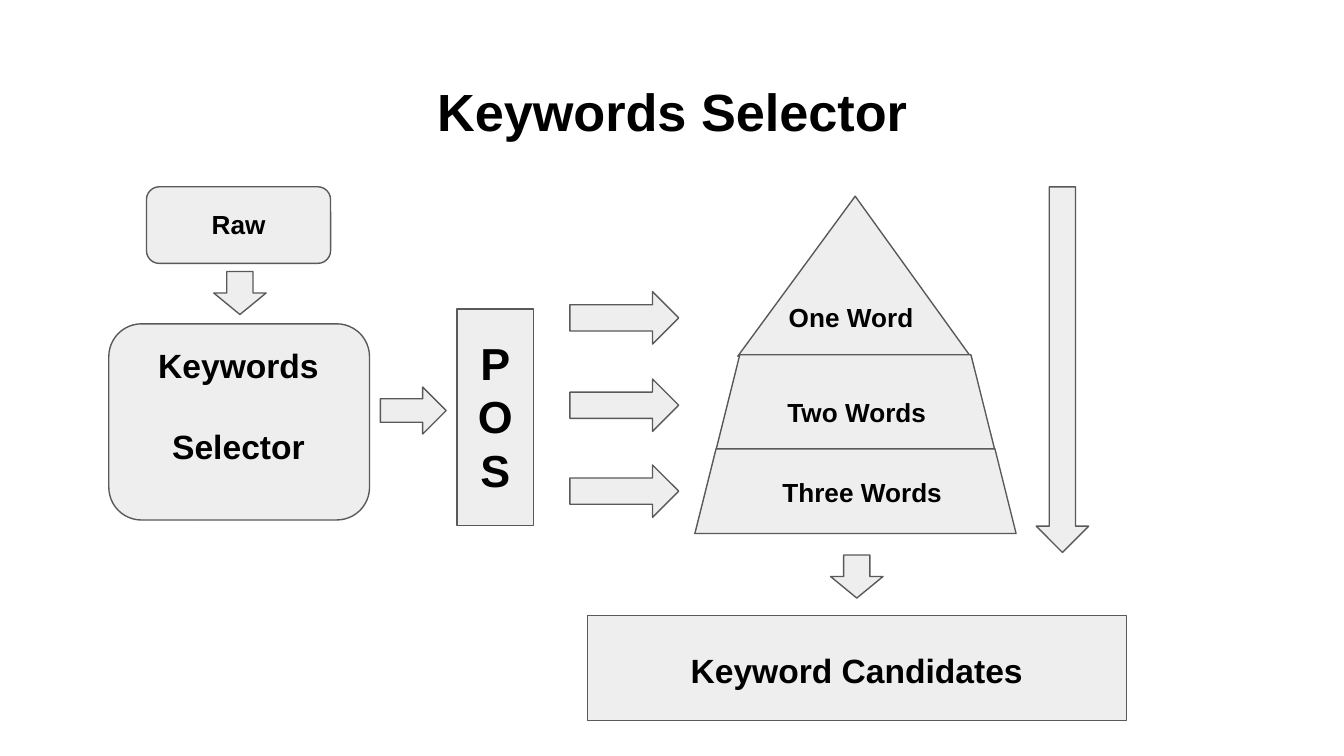
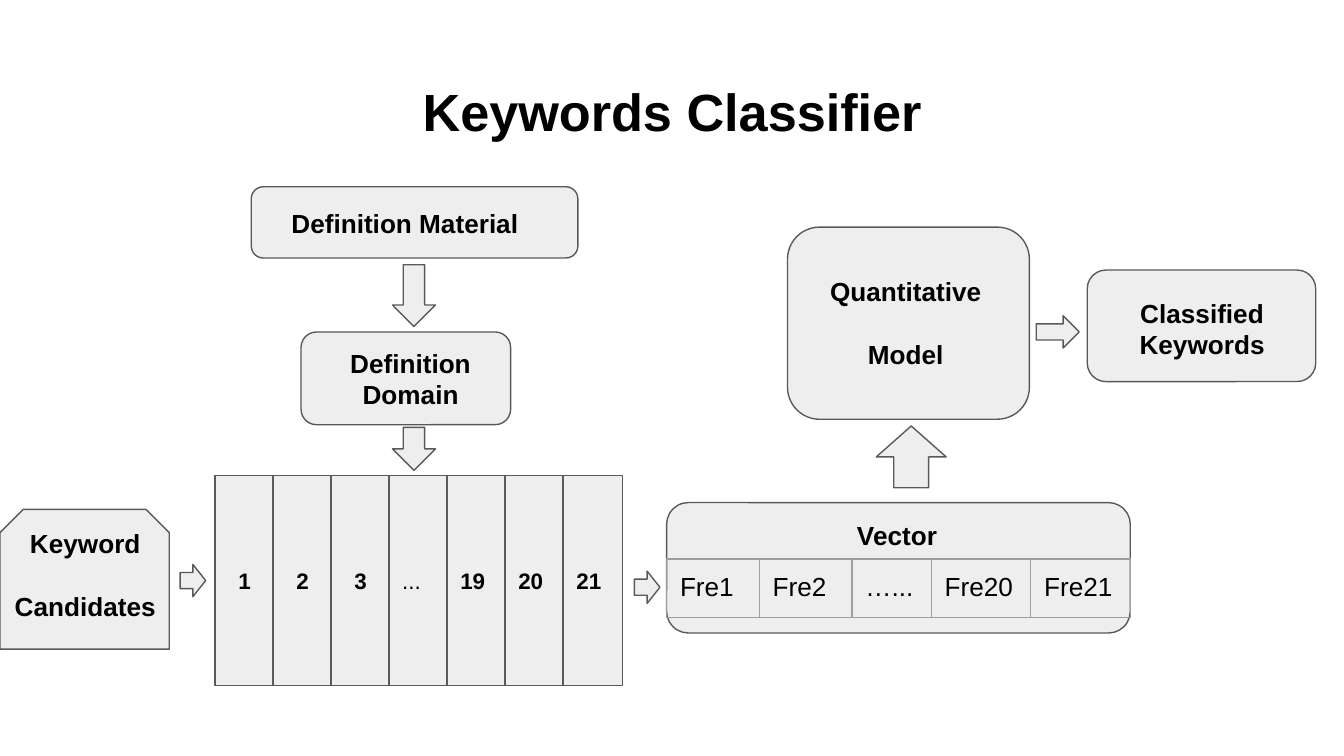
from pptx import Presentation
from pptx.dml.color import RGBColor
from pptx.enum.shapes import MSO_SHAPE as Shape
from pptx.enum.text import MSO_ANCHOR as Anchor, PP_ALIGN as Align
from pptx.oxml import parse_xml
from pptx.oxml.ns import nsdecls
from pptx.util import Inches, Pt

COLORS = {"text": "000000", "fill": "EEEEEE", "line": "595959", "grid": "9E9E9E"}
FONT = "Arial"
LINE_WIDTH = 0.75
INSET = 0.1
LOOSE = 1.2  # gap between loosely set lines, as a share of the text size
TITLE_AREA = (0.34, 0.49, 9.32, 0.63)

BOX, ROUND, SNIP = Shape.RECTANGLE, Shape.ROUNDED_RECTANGLE, Shape.SNIP_2_SAME_RECTANGLE
RIGHT, DOWN, UP = Shape.RIGHT_ARROW, Shape.DOWN_ARROW, Shape.UP_ARROW
TOP, LEFT = {"anchor": Anchor.TOP}, {"align": Align.LEFT}
SPACED = {"gap": LOOSE}

# Shapes: kind, (left, top, width, height).
# Labels: lines, (left, top, width, height), size, format that differs from the default.
SELECTOR = {
    "title": "Keywords Selector",
    "shapes": [
        (ROUND, (1.09, 1.39, 1.37, 0.57)),
        (ROUND, (0.81, 2.41, 1.94, 1.46)),
        (BOX, (3.4, 2.3, 0.57, 1.61)),
        (DOWN, (1.59, 2.02, 0.39, 0.32)),
        (RIGHT, (2.83, 2.88, 0.49, 0.35)),
        (Shape.ISOSCELES_TRIANGLE, (5.49, 1.46, 1.73, 1.19)),
        (Shape.TRAPEZOID, (5.33, 2.64, 2.07, 0.7)),
        (Shape.TRAPEZOID, (5.17, 3.34, 2.39, 0.63)),
        *[(RIGHT, (4.24, top, 0.81, 0.39)) for top in (2.17, 2.82, 3.46)],
        (DOWN, (7.71, 1.39, 0.39, 2.72)),
        (BOX, (4.37, 4.58, 4.01, 0.78)),
        (DOWN, (6.18, 4.13, 0.39, 0.32)),
    ],
    "labels": [
        (["Raw"], (1.15, 1.45, 1.25, 0.35), 14, TOP),
        (["Keywords", "Selector"], (1.01, 2.52, 1.53, 1), 18, SPACED),
        (["P", "O", "S"], (3.4, 2.41, 0.57, 1.37), 24, {}),
        (["One Word"], (5.77, 2.14, 1.25, 0.43), 14, TOP | LEFT),
        (["Two Words"], (5.58, 2.85, 1.59, 0.43), 14, {}),
        (["Three Words"], (5.49, 3.5, 1.85, 0.32), 14, {}),
        (["Keyword Candidates"], (4.8, 4.77, 3.15, 0.43), 18, {}),
    ],
}

CLASSIFIER = {
    "title": "Keywords Classifier",
    "shapes": [
        (ROUND, (1.87, 1.39, 2.43, 0.53)),
        (ROUND, (2.24, 2.47, 1.56, 0.69)),
        (DOWN, (2.92, 1.97, 0.32, 0.46)),
        (DOWN, (2.92, 3.18, 0.32, 0.32)),
        (SNIP, (0, 3.79, 1.26, 1.04)),
        (RIGHT, (1.34, 4.2, 0.19, 0.24)),
        (ROUND, (4.96, 3.74, 3.45, 0.97)),
        (RIGHT, (4.72, 4.25, 0.19, 0.24)),
        (ROUND, (5.86, 1.69, 1.8, 1.43)),
        (UP, (6.52, 3.17, 0.52, 0.46)),
        (ROUND, (8.09, 2.01, 1.7, 0.83)),
        (RIGHT, (7.71, 2.35, 0.32, 0.24)),
    ],
    "labels": [
        (["Definition Material"], (2.07, 1.44, 2.03, 0.24), 14, TOP | LEFT),
        (["Definition Domain"], (2.31, 2.5, 1.49, 0.63), 14, {}),
        (["Keyword", "Candidates"], (-0.03, 3.93, 1.33, 0.69), 14, SPACED),
        (["Vector"], (5.96, 3.75, 1.43, 0.46), 14, {}),
        (["Quantitative", "Model"], (5.96, 1.95, 1.56, 0.69), 14, TOP | SPACED),
        (["Classified", "Keywords"], (8.23, 2.11, 1.43, 0.63), 14, TOP),
    ],
}

DOMAINS = ["1", "2", "3", "...", "19", "20", "21"]
DOMAIN_FIRST, DOMAIN_LAST, DOMAIN_TOP = 1.6, 4.19, 3.54
DOMAIN_SIZE = (0.44, 1.56)

FREQUENCIES = [("Fre1", 0.69), ("Fre2", 0.69), ("…...", 0.59), ("Fre20", 0.74), ("Fre21", 0.74)]
VECTOR_AREA = (4.96, 4.16, 3.45, 0.39)


def color(name):
    return RGBColor.from_string(COLORS[name])


def inches(area):
    return [Inches(value) for value in area]


def write(frame, lines, size, bold=True, align=Align.CENTER, gap=0):
    for index, line in enumerate(lines):
        para = frame.paragraphs[0] if index == 0 else frame.add_paragraph()
        para.alignment = align
        if index and gap:
            para.space_before = Pt(size * gap)
        span = para.add_run()
        span.text = line
        for name, value in {"name": FONT, "size": Pt(size), "bold": bold}.items():
            setattr(span.font, name, value)
        span.font.color.rgb = color("text")


def set_frame(target, anchor):
    """Set the insets and anchor of a text frame or a table cell."""
    for side in ("left", "top", "right", "bottom"):
        setattr(target, f"margin_{side}", Inches(INSET))
    target.vertical_anchor = anchor


def add_label(page, lines, area, size, anchor=Anchor.MIDDLE, **style):
    frame = page.shapes.add_textbox(*inches(area)).text_frame
    frame.word_wrap = True
    set_frame(frame, anchor)
    write(frame, lines, size, **style)


def add_block(page, kind, area):
    block = page.shapes.add_shape(kind, *inches(area))
    block.shadow.inherit = False
    block.fill.solid()
    block.fill.fore_color.rgb = color("fill")
    block.line.color.rgb = color("line")
    block.line.width = Pt(LINE_WIDTH)
    return block


def add_page(deck, content):
    page = deck.slides.add_slide(deck.slide_layouts[6])
    add_label(page, [content["title"]], TITLE_AREA, 28, Anchor.TOP)
    for kind, area in content["shapes"]:
        block = add_block(page, kind, area)
        if kind == Shape.ISOSCELES_TRIANGLE:
            block.adjustments[0] = 0.505
    for lines, area, size, style in content["labels"]:
        add_label(page, lines, area, size, **style)
    return page


def add_domains(page):
    step = (DOMAIN_LAST - DOMAIN_FIRST) / (len(DOMAINS) - 1)
    for index, domain in enumerate(DOMAINS):
        block = add_block(page, BOX, (DOMAIN_FIRST + step * index, DOMAIN_TOP, *DOMAIN_SIZE))
        set_frame(block.text_frame, Anchor.MIDDLE)
        align = Align.CENTER if len(domain) == 1 else Align.LEFT
        write(block.text_frame, [domain], 12, bold=domain.isdigit(), align=align)


def add_borders(cell):
    props = cell._tc.get_or_add_tcPr()
    for index, side in enumerate(("lnL", "lnR", "lnT", "lnB")):
        props.insert(index, parse_xml(
            f'<a:{side} {nsdecls("a")} w="{Pt(LINE_WIDTH)}"><a:solidFill>'
            f'<a:srgbClr val="{COLORS["grid"]}"/></a:solidFill></a:{side}>'))


def add_vector(page):
    table = page.shapes.add_table(1, len(FREQUENCIES), *inches(VECTOR_AREA)).table
    table.first_row = table.horz_banding = False
    for index, (name, width) in enumerate(FREQUENCIES):
        table.columns[index].width = Inches(width)
        cell = table.cell(0, index)
        cell.fill.background()
        set_frame(cell, Anchor.TOP)
        write(cell.text_frame, [name], 14, bold=False, align=Align.LEFT)
        add_borders(cell)


def main():
    deck = Presentation()
    deck.slide_width = Inches(10)
    deck.slide_height = deck.slide_width * 9 // 16
    add_page(deck, SELECTOR)
    classifier = add_page(deck, CLASSIFIER)
    add_domains(classifier)
    add_vector(classifier)
    deck.save("out.pptx")


if __name__ == "__main__":
    main()
